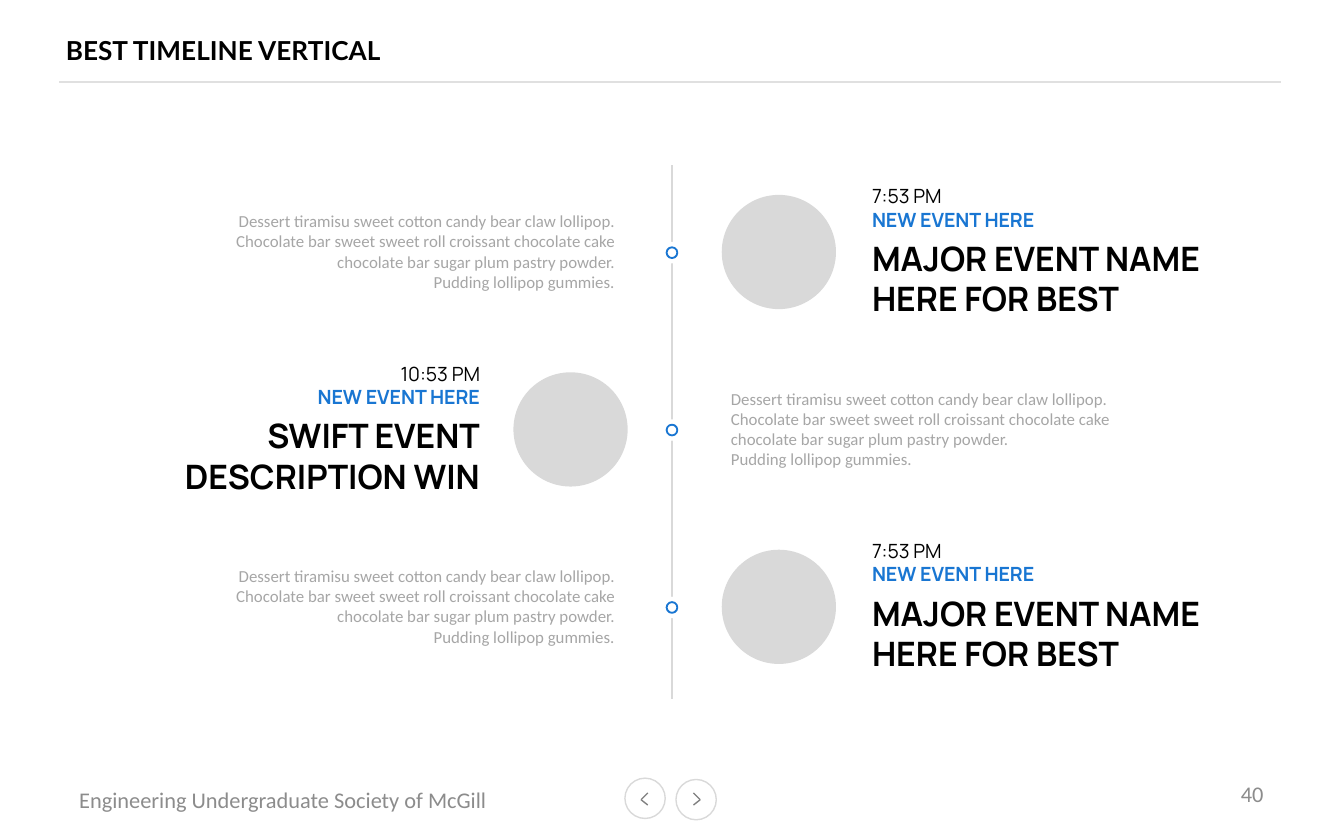
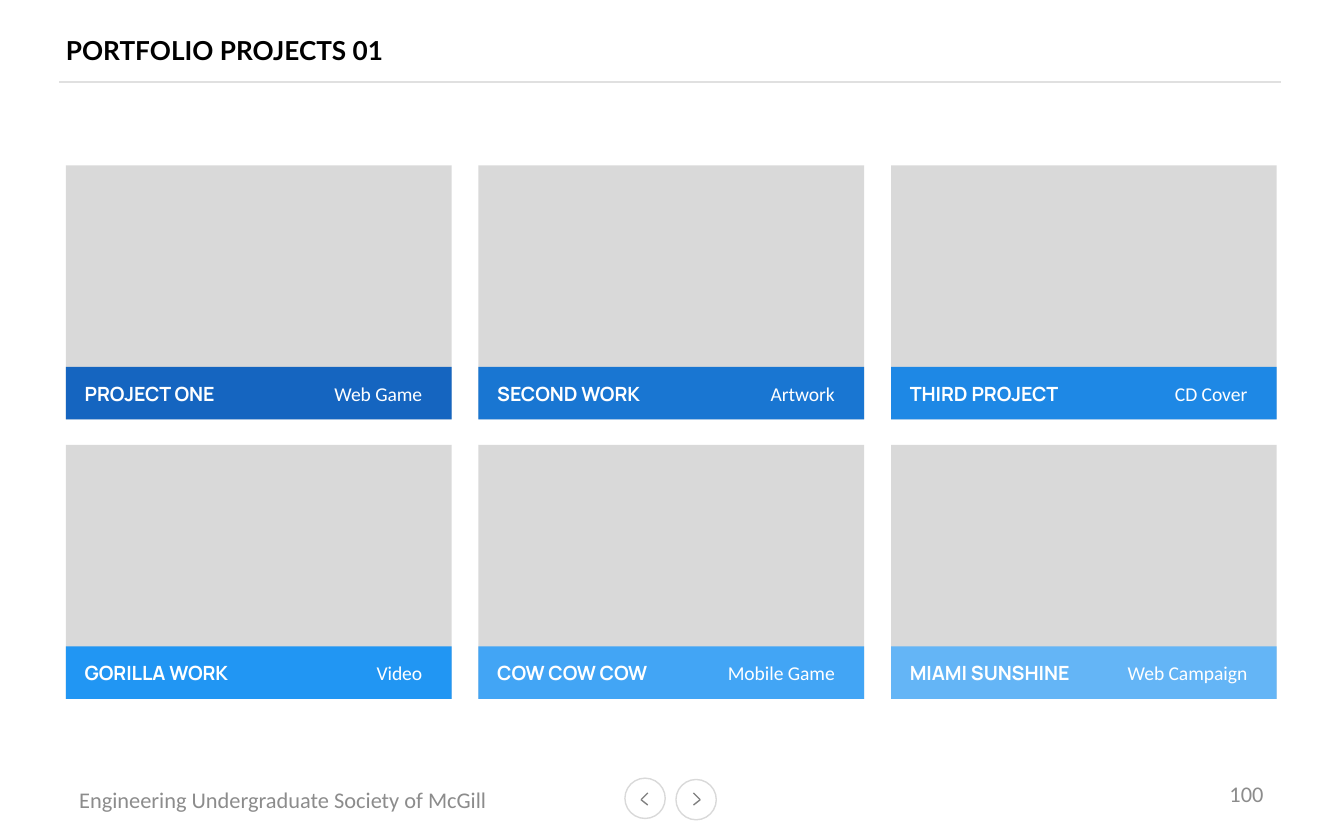
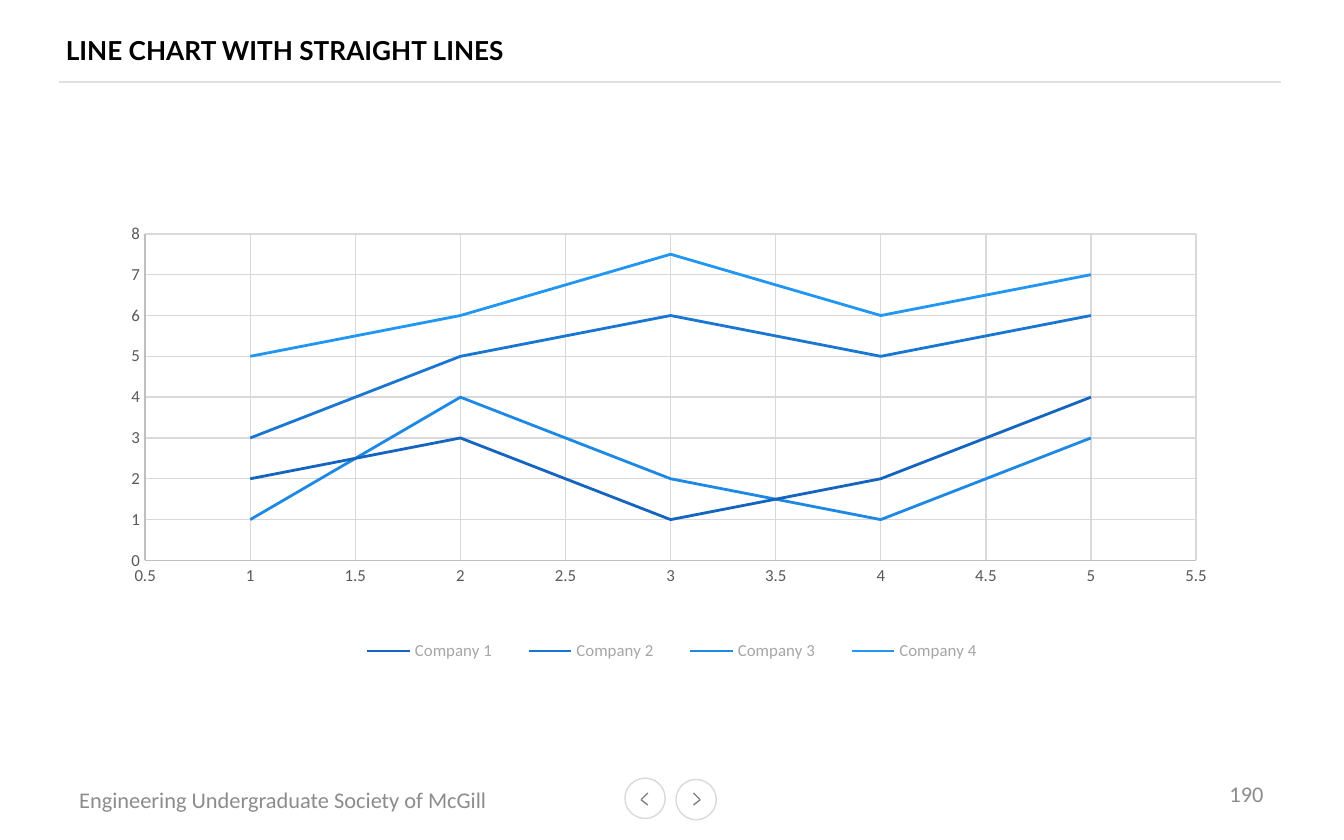
from dataclasses import dataclass

from lxml import etree
from pptx import Presentation
from pptx.chart.data import XyChartData
from pptx.dml.color import RGBColor
from pptx.enum.chart import XL_CHART_TYPE, XL_LEGEND_POSITION, XL_TICK_MARK
from pptx.enum.shapes import MSO_CONNECTOR, MSO_SHAPE
from pptx.enum.text import MSO_ANCHOR, PP_ALIGN
from pptx.oxml.ns import qn
from pptx.util import Inches, Pt

RECT, OVAL = MSO_SHAPE.RECTANGLE, MSO_SHAPE.OVAL
STRAIGHT = MSO_CONNECTOR.STRAIGHT
LEFT, RIGHT = PP_ALIGN.LEFT, PP_ALIGN.RIGHT
TOP, MIDDLE = MSO_ANCHOR.TOP, MSO_ANCHOR.MIDDLE
SCATTER = XL_CHART_TYPE.XY_SCATTER_LINES_NO_MARKERS
BOTTOM = XL_LEGEND_POSITION.BOTTOM
NO_TICK = XL_TICK_MARK.NONE


@dataclass(frozen=True)
class Font:
    size: float
    name: str
    color: str
    bold: bool = False


class Theme:
    white, rule, pale, arrow = "FFFFFF", "E0E0E0", "D9D9D9", "808080"
    axis = "BFBFBF"
    blues = ["1565C0", "1976D2", "1E88E5", "2196F3", "42A5F5", "64B5F6"]
    accent = blues[1]
    thin = 0.75
    title = Font(14, "Lato", "000000", True)
    foot = Font(12, "Calibri", "8C8C8C")
    time = Font(10.5, "Manrope", "000000")
    label = Font(10.5, "Manrope", accent, True)
    event = Font(18, "Manrope", "000000", True)
    body = Font(9, "Calibri", "A6A6A6")
    name = Font(10.5, "Manrope", white, True)
    kind = Font(10.5, "Calibri", white)
    chart = Font(10, "Calibri", "000000")
    tick = Font(9, "Calibri", "595959")


def rgb(code):
    return RGBColor.from_string(code)


def style(font, look):
    font.size, font.name, font.bold = Pt(look.size), look.name, look.bold
    font.color.rgb = rgb(look.color)


def stroke(line, color, width):
    line.color.rgb = rgb(color)
    line.width = Pt(width)


def place(part, index, box, inner=False):
    """Fix a chart part at box, given in fractions of the chart."""
    for old in part.findall(qn("c:layout")):
        part.remove(old)
    layout = etree.Element(qn("c:layout"))
    part.insert(index, layout)
    manual = etree.SubElement(layout, qn("c:manualLayout"))
    marks = [("layoutTarget", "inner")] if inner else []
    marks += [("xMode", "edge"), ("yMode", "edge"), *zip("xywh", box)]
    for tag, val in marks:
        etree.SubElement(manual, qn(f"c:{tag}")).set("val", str(val))


class Deck:
    def __init__(self):
        self.prs = Presentation()
        self.prs.slide_width, self.prs.slide_height = Inches(10), Inches(6.25)
        self.slide = None

    def start(self, title, number):
        """Add a slide with the shared header and footer."""
        self.slide = self.prs.slides.add_slide(self.prs.slide_layouts[6])
        self.line(9.53, 0.61, 0.44, 0.61, Theme.rule)
        self.text(0.49, 0.16, 6.67, 0.43, [(title, Theme.title)],
                  anchor=MIDDLE, pad=(0, 0, 0, 0))
        self.text(0.49, 5.8, 3.39, 0.3,
                  [("Engineering Undergraduate Society of McGill", Theme.foot)],
                  anchor=MIDDLE)
        self.text(7.17, 5.74, 2.33, 0.33, [(str(number), Theme.foot)],
                  RIGHT, MIDDLE)
        # Navigation buttons: ring place, arrow tip and arrow end
        for x, y, tip, end in ((4.65, 5.79, 4.77, 4.82), (5.03, 5.8, 5.21, 5.16)):
            self.shape(OVAL, x, y, 0.3, 0.3, Theme.white, Theme.pale)
            for tail in (5.9, 5.99):
                self.line(tip, 5.95, end, tail, Theme.arrow)

    def line(self, x1, y1, x2, y2, color):
        link = self.slide.shapes.add_connector(
            STRAIGHT, Inches(x1), Inches(y1), Inches(x2), Inches(y2))
        stroke(link.line, color, Theme.thin)
        etree.SubElement(link._element.spPr, qn("a:effectLst"))

    def shape(self, kind, x, y, w, h, fill, edge=None, width=Theme.thin):
        item = self.slide.shapes.add_shape(
            kind, Inches(x), Inches(y), Inches(w), Inches(h))
        item.shadow.inherit = False
        item.fill.solid()
        item.fill.fore_color.rgb = rgb(fill)
        if edge:
            stroke(item.line, edge, width)
        else:
            item.line.fill.background()

    def text(self, x, y, w, h, rows, align=LEFT, anchor=TOP,
             pad=(0.1, 0.05, 0.1, 0.05), gaps=None):
        """Write rows of (text, font); gaps maps a row to its space before."""
        frame = self.slide.shapes.add_textbox(
            Inches(x), Inches(y), Inches(w), Inches(h)).text_frame
        frame.word_wrap = True
        frame.vertical_anchor = anchor
        (frame.margin_left, frame.margin_top,
         frame.margin_right, frame.margin_bottom) = map(Inches, pad)
        for i, (words, look) in enumerate(rows):
            para = frame.add_paragraph() if i else frame.paragraphs[0]
            para.text, para.alignment = words, align
            style(para.font, look)
            if gaps and i in gaps:
                para.space_before = Pt(gaps[i])

    def axis(self, axis, low, high, step):
        axis.minimum_scale, axis.maximum_scale = low, high
        axis.major_unit = step
        axis.major_tick_mark = axis.minor_tick_mark = NO_TICK
        axis.has_major_gridlines = True
        stroke(axis.major_gridlines.format.line, Theme.pale, Theme.thin)
        stroke(axis.format.line, Theme.axis, Theme.thin)
        style(axis.tick_labels.font, Theme.tick)
        axis.tick_labels.number_format = "General"
        axis.tick_labels.number_format_is_linked = False

    def chart(self, x, y, w, h, table, plot, key):
        """Draw a scatter chart; plot and key place its area and legend."""
        data = XyChartData()
        for name, vals in table.items():
            series = data.add_series(name)
            for i, val in enumerate(vals, 1):
                series.add_data_point(i, val)
        chart = self.slide.shapes.add_chart(
            SCATTER, Inches(x), Inches(y), Inches(w), Inches(h), data).chart
        style(chart.font, Theme.chart)
        chart.has_title = False
        chart.has_legend = True
        chart.legend.position = BOTTOM
        chart.legend.include_in_layout = False
        style(chart.legend.font, Theme.body)
        chart.plots[0].vary_by_categories = False
        for series, color in zip(chart.plots[0].series, Theme.blues):
            series.smooth = False
            stroke(series.format.line, color, 1.5)
        self.axis(chart.category_axis, 0.5, 5.5, 0.5)
        self.axis(chart.value_axis, 0, 8, 1)
        place(chart._chartSpace.chart.plotArea, 0, plot, inner=True)
        place(chart.legend._element, 1, key)


def timeline(deck):
    deck.start("BEST TIMELINE VERTICAL", 40)
    deck.line(5, 1.23, 5, 5.2, Theme.pale)
    notes = [
        "Dessert tiramisu sweet cotton candy bear claw lollipop. Chocolate bar "
        "sweet sweet roll croissant chocolate cake chocolate bar sugar plum "
        "pastry powder.",
        "Pudding lollipop gummies.",
    ]
    major = ("7:53 PM", "MAJOR EVENT NAME", "HERE FOR BEST")
    swift = ("10:53 PM", "SWIFT EVENT", "DESCRIPTION WIN")
    # Sides: event x, note x, photo x, event alignment, note alignment
    east = (6.39, 1.2, 5.37, LEFT, RIGHT)
    west = (0.2, 5.34, 3.82, RIGHT, LEFT)
    step = 1.32
    for i, (event, side) in enumerate(((major, east), (swift, west), (major, east))):
        hour, first, second = event
        event_x, note_x, photo_x, event_al, note_al = side
        y = step * (i + 1)
        # White halo breaks the line around each dot
        deck.shape(OVAL, 4.92, y + 0.48, 0.16, 0.16, Theme.white)
        deck.shape(OVAL, 4.96, y + 0.52, 0.08, 0.08, Theme.white, Theme.accent, 1)
        deck.text(event_x, y, 3.47, 1.11,
                  [(hour, Theme.time), ("NEW EVENT HERE", Theme.label),
                   (first, Theme.event), (second, Theme.event)],
                  event_al, gaps={2: 3.6})
        deck.text(note_x, y + 0.2, 3.47, 0.71,
                  [(note, Theme.body) for note in notes], note_al)
        deck.shape(OVAL, photo_x, y + 0.13, 0.85, 0.85, Theme.pale)


def works(deck):
    deck.start("PORTFOLIO PROJECTS 01", 100)
    cards = [
        ("PROJECT ONE", "Web Game"), ("SECOND WORK", "Artwork"),
        ("THIRD PROJECT", "CD Cover"), ("GORILLA WORK", "Video"),
        ("COW COW COW", "Mobile Game"), ("MIAMI SUNSHINE", "Web Campaign"),
    ]
    pad = (0, 0.05, 0.1, 0.05)
    for i, (name, kind) in enumerate(cards):
        row, col = divmod(i, 3)
        x, y = 0.49 + 3.07 * col, 1.23 + 2.08 * row
        deck.shape(RECT, x, y, 2.87, 1.89, Theme.pale)
        deck.shape(RECT, x, y + 1.5, 2.87, 0.39, Theme.blues[i])
        deck.text(x + 0.14, y + 1.56, 1.37, 0.29, [(name, Theme.name)], pad=pad)
        deck.text(x + 1.38, y + 1.56, 1.37, 0.29, [(kind, Theme.kind)],
                  RIGHT, pad=pad)


def trends(deck):
    deck.start("LINE CHART WITH STRAIGHT LINES", 190)
    table = {
        "Company 1": (2, 3, 1, 2, 4),
        "Company 2": (3, 5, 6, 5, 6),
        "Company 3": (1, 4, 2, 1, 3),
        "Company 4": (5, 6, 7.5, 6, 7),
    }
    deck.chart(0, 0.92, 10, 4.46, table, plot=(0.108, 0.184, 0.782, 0.545),
               key=(0.25, 0.85, 0.5, 0.06))


def main():
    deck = Deck()
    timeline(deck)
    works(deck)
    trends(deck)
    deck.prs.save("out.pptx")


if __name__ == "__main__":
    main()
